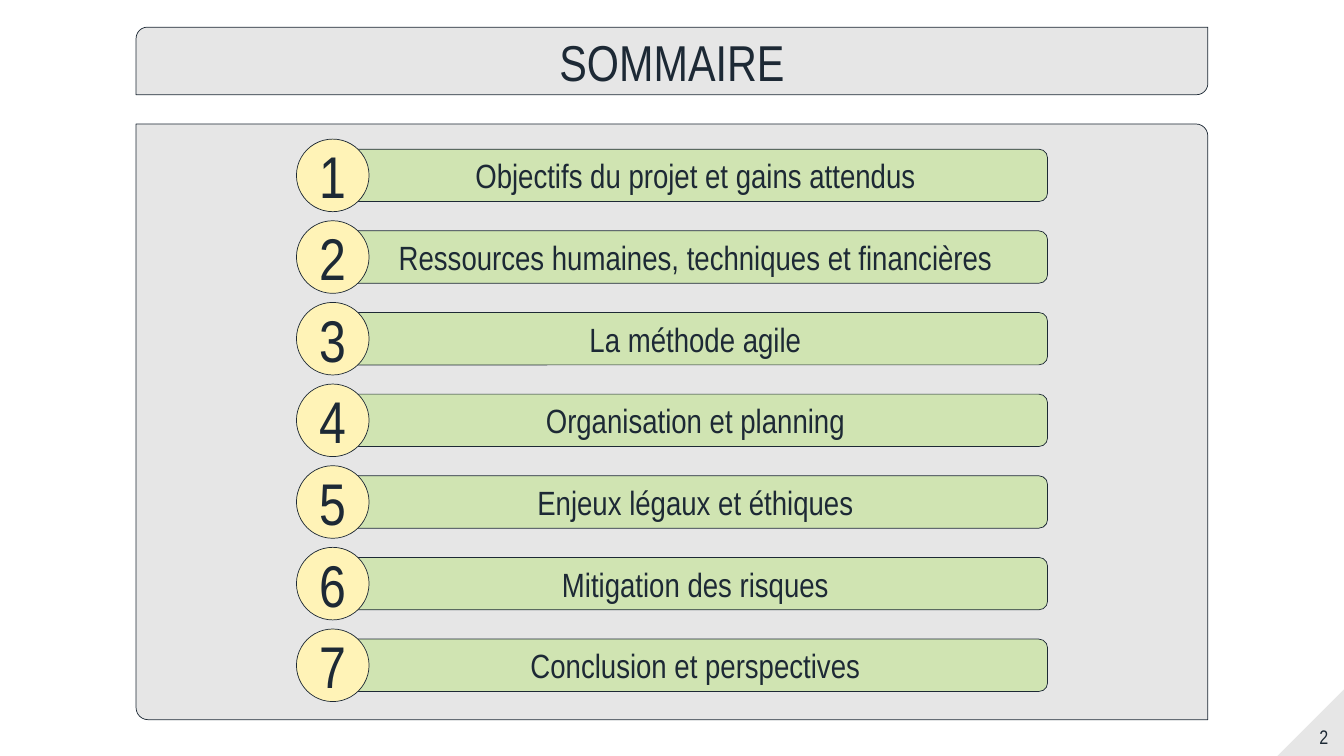
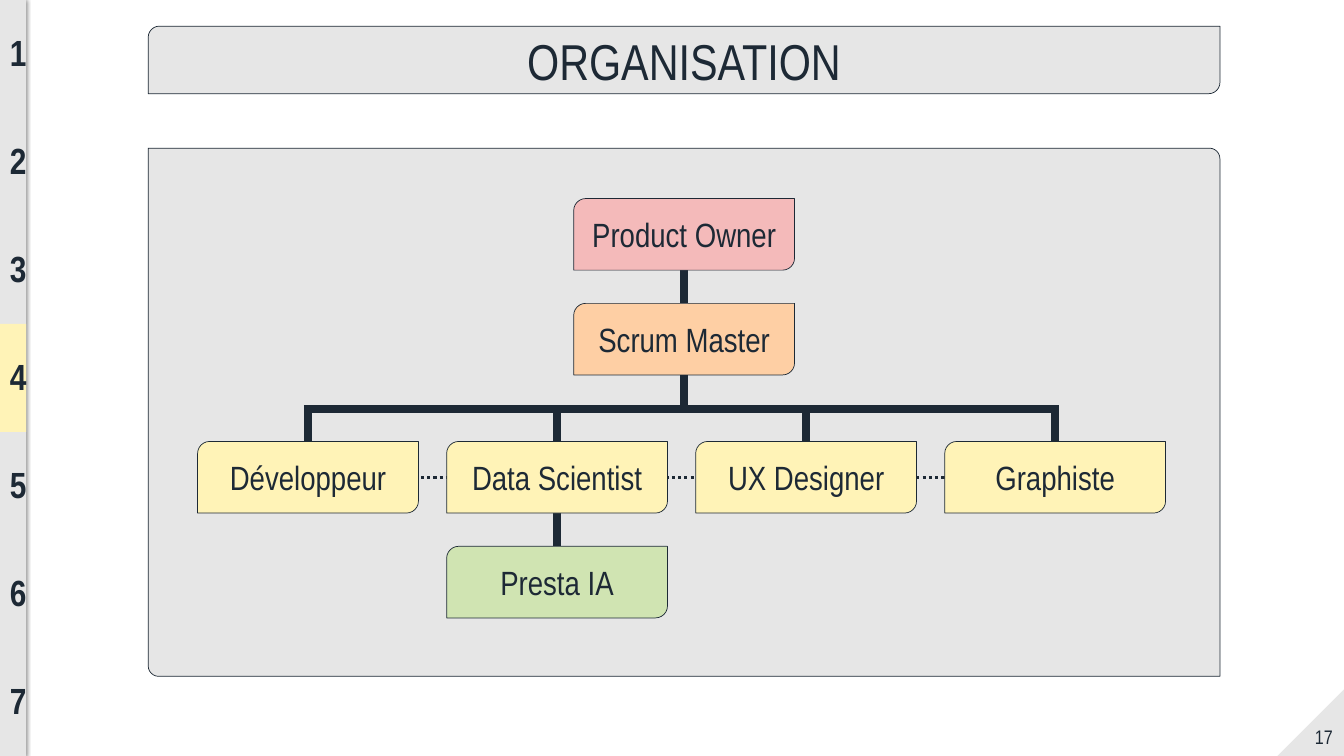
from dataclasses import dataclass

from lxml.etree import SubElement
from pptx import Presentation
from pptx.dml.color import RGBColor
from pptx.enum.dml import MSO_LINE
from pptx.enum.shapes import MSO_CONNECTOR, MSO_SHAPE
from pptx.enum.text import MSO_ANCHOR, MSO_AUTO_SIZE, PP_ALIGN
from pptx.oxml.ns import qn
from pptx.util import Inches, Pt


@dataclass(frozen=True)
class Theme:
    font: str = "Arial Narrow"
    ink: str = "1D2935"
    gray: str = "E6E6E6"
    yellow: str = "FFF3B7"
    green: str = "D0E4B2"
    orange: str = "FECFA4"
    pink: str = "F4BABA"
    title: float = 36
    body: float = 24
    badge: float = 42
    tab: float = 26
    page: float = 14
    edge: float = 0.5
    link: float = 6
    dots: float = 2.25


@dataclass(frozen=True)
class Box:
    left: float
    top: float
    width: float
    height: float

    @property
    def mid(self):
        return self.left + self.width / 2

    @property
    def center(self):
        return self.top + self.height / 2

    @property
    def bottom(self):
        return self.top + self.height

    def inner(self, left, top, width, height):
        """Return a box placed relative to this one's top left corner."""
        return Box(self.left + left, self.top + top, width, height)

    def emu(self):
        return [Inches(n) for n in (self.left, self.top, self.width, self.height)]


THEME = Theme()
PAGE = Box(0, 0, 13.33, 7.5)
TOPICS = [
    "Objectifs du projet et gains attendus",
    "Ressources humaines, techniques et financières",
    "La méthode agile",
    "Organisation et planning",
    "Enjeux légaux et éthiques",
    "Mitigation des risques",
    "Conclusion et perspectives",
]
TEAM = ["Développeur", "Data Scientist", "UX Designer", "Graphiste"]


def color(code):
    return RGBColor.from_string(code)


def write(shape, text, size, bold=False, anchor=MSO_ANCHOR.MIDDLE):
    frame = shape.text_frame
    frame.word_wrap = True
    frame.auto_size = MSO_AUTO_SIZE.NONE
    frame.vertical_anchor = anchor
    para = frame.paragraphs[0]
    para.alignment = PP_ALIGN.CENTER
    run = para.add_run()
    run.text = text
    run.font.name = THEME.font
    run.font.size = Pt(size)
    run.font.bold = bold
    run.font.color.rgb = color(THEME.ink)


def add_label(slide, box, text, size, **style):
    label = slide.shapes.add_textbox(*box.emu())
    write(label, text, size, **style)


def add_block(slide, kind, box, fill, edged=True):
    block = slide.shapes.add_shape(kind, *box.emu())
    block.shadow.inherit = False
    block.fill.solid()
    block.fill.fore_color.rgb = color(fill)
    if edged:
        block.line.color.rgb = color(THEME.ink)
        block.line.width = Pt(THEME.edge)
    else:
        block.line.fill.background()
    return block


def add_line(slide, start, end, width=THEME.link, dash=None):
    ends = [Inches(n) for n in (*start, *end)]
    line = slide.shapes.add_connector(MSO_CONNECTOR.STRAIGHT, *ends)
    line.line.color.rgb = color(THEME.ink)
    line.line.width = Pt(width)
    if dash:
        line.line.dash_style = dash
    SubElement(line._element.spPr, qn("a:effectLst"))


def add_title(slide, box, text):
    add_block(slide, MSO_SHAPE.ROUND_2_DIAG_RECTANGLE, box, THEME.gray)
    title = slide.shapes.title
    title.left, title.top, title.width, title.height = box.emu()
    write(title, text, THEME.title)
    slide.shapes._spTree.append(title._element)  # bring above its band


def add_panel(slide, box):
    """Draw the gray area, rounded at top right and bottom left."""
    panel = add_block(slide, MSO_SHAPE.ROUND_2_DIAG_RECTANGLE, box, THEME.gray)
    panel.adjustments[0] = 0
    panel.adjustments[1] = 0.02


def add_corner(slide, box, number):
    fold = add_block(slide, MSO_SHAPE.RIGHT_TRIANGLE, box, THEME.gray, edged=False)
    fold._element.spPr.find(qn("a:xfrm")).set("flipH", "1")
    add_label(slide, box.inner(0.26, 0.27, 0.4, 0.4), str(number), THEME.page)


def add_glow(shape):
    """Give the shape a soft shadow on all sides."""
    effects = shape._element.spPr.find(qn("a:effectLst"))
    glow = SubElement(effects, qn("a:outerShdw"), blurRad=str(Pt(3)), dist="0", dir="0")
    tint = SubElement(glow, qn("a:srgbClr"), val="000000")
    SubElement(tint, qn("a:alpha"), val="50000")


def add_tabs(slide, box, active):
    add_glow(add_block(slide, MSO_SHAPE.RECTANGLE, box, THEME.gray, edged=False))
    step = box.height / len(TOPICS)
    for index in range(len(TOPICS)):
        slot = box.inner(0, index * step, box.width, step)
        if index + 1 == active:
            add_block(slide, MSO_SHAPE.RECTANGLE, slot, THEME.yellow, edged=False)
        add_label(slide, slot.inner(0, 0.25, 0.25, 0.54), str(index + 1),
                  THEME.tab, bold=True, anchor=MSO_ANCHOR.TOP)


def add_topic(slide, box, number, text):
    bar = box.inner(0.46, 0.1, box.width - 0.46, 0.52)
    write(add_block(slide, MSO_SHAPE.ROUNDED_RECTANGLE, bar, THEME.green),
          text, THEME.body)
    disc = box.inner(0, 0, box.height, box.height)
    badge = add_block(slide, MSO_SHAPE.OVAL, disc, THEME.yellow)
    frame = badge.text_frame
    frame.margin_left = frame.margin_right = 0
    frame.margin_top = frame.margin_bottom = 0
    write(badge, str(number), THEME.badge)


def add_agenda(slide, box):
    add_panel(slide, box)
    for index, topic in enumerate(TOPICS):
        row = box.inner(1.59, 0.15 + 0.81 * index, 7.45, 0.72)
        add_topic(slide, row, index + 1, topic)


def add_chart(slide, box):
    """Draw the team chart: links first, then the role cards over them."""
    add_panel(slide, box)
    wide, high = 2.19, 0.71

    def card(left, top):
        return box.inner(left, top, wide, high)

    middle = (box.width - wide) / 2
    owner, master = card(middle, 0.5), card(middle, 1.54)
    crew = [card(0.49 + 2.47 * index, 2.91) for index in range(len(TEAM))]
    helper = card(0.49 + 2.47, 3.95)

    bus = box.top + 2.59
    first, last = crew[0], crew[-1]
    half = THEME.link / 72 / 2
    add_line(slide, (first.mid - half, bus), (last.mid + half, bus))
    for role in crew:
        add_line(slide, (role.mid, bus), (role.mid, role.center))
    add_line(slide, (first.mid, first.center), (last.mid, last.center),
             THEME.dots, MSO_LINE.ROUND_DOT)
    add_line(slide, (owner.mid, owner.bottom), (master.mid, master.top))
    add_line(slide, (master.mid, master.bottom), (master.mid, bus))
    add_line(slide, (helper.mid, crew[1].bottom), (helper.mid, helper.top))

    cards = [
        (owner, "Product Owner", THEME.pink),
        (master, "Scrum Master", THEME.orange),
        *((role, name, THEME.yellow) for role, name in zip(crew, TEAM)),
        (helper, "Presta IA", THEME.green),
    ]
    for place, name, fill in cards:
        write(add_block(slide, MSO_SHAPE.ROUND_2_DIAG_RECTANGLE, place, fill),
              name, THEME.body)


def add_page(deck, title, band, number):
    slide = deck.slides.add_slide(deck.slide_layouts[5])
    add_title(slide, band, title)
    add_corner(slide, PAGE.inner(12.67, 6.84, 0.66, 0.66), number)
    return slide


def main():
    deck = Presentation()
    deck.slide_width, deck.slide_height = Inches(PAGE.width), Inches(PAGE.height)

    agenda = add_page(deck, "SOMMAIRE", Box(1.35, 0.27, 10.63, 0.67), 2)
    add_agenda(agenda, Box(1.35, 1.23, 10.63, 5.91))

    team = add_page(deck, "ORGANISATION", Box(1.47, 0.26, 10.63, 0.67), 17)
    add_tabs(team, Box(0, 0, 0.26, PAGE.height), active=4)
    add_chart(team, Box(1.47, 1.47, 10.63, 5.24))

    deck.save("out.pptx")


if __name__ == "__main__":
    main()
